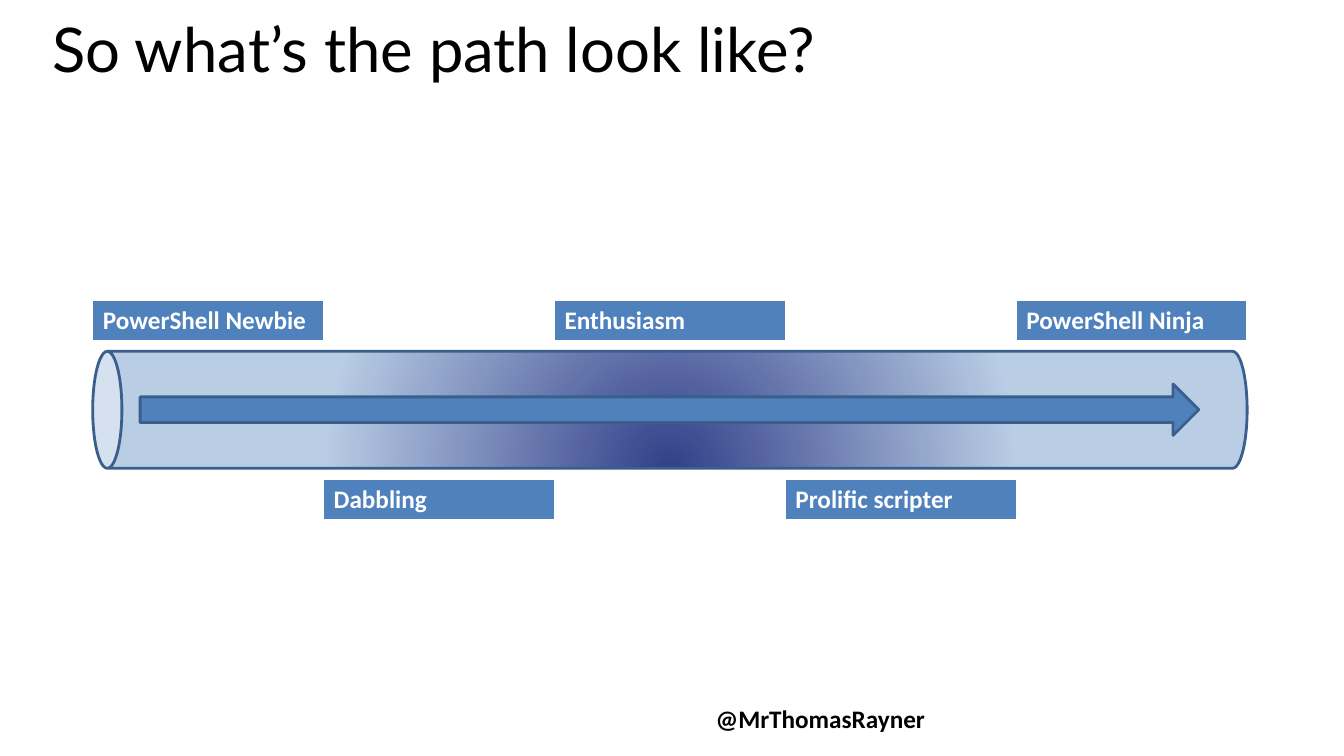
"""Build the slide that shows the path from PowerShell newbie to ninja."""
from dataclasses import dataclass

from lxml.etree import SubElement
from pptx import Presentation
from pptx.dml.color import RGBColor
from pptx.enum.shapes import MSO_SHAPE
from pptx.oxml import parse_xml
from pptx.oxml.ns import nsdecls, qn
from pptx.shapes.autoshape import Shape
from pptx.slide import Slide
from pptx.util import Inches, Pt

WIDTH, HEIGHT = Inches(13.33), Inches(7.5)
COLOURS = {
    "ink": "000000",
    "white": "FFFFFF",
    "label": "4F81BD",
    "outline": "3A5F8C",
    "deep": "34428A",
    "pale": "B9CDE5",
}
TITLE_FORMAT = {"name": "Lato", "size": Pt(44), "bold": False}
BODY_FORMAT = {"name": "Calibri", "size": Pt(18), "bold": True}
TUBE_STOPS = ((1, "deep"), (60, "pale"), (83, "pale"))
BORDERS = {"lnL": 1, "lnR": 1, "lnT": 1, "lnB": 3}


@dataclass(frozen=True)
class Area:
    """A rectangle in percent of the slide's width and height."""

    left: float
    top: float
    width: float
    height: float

    def lengths(self) -> tuple[int, int, int, int]:
        """Return left, top, width and height as slide lengths."""
        return (
            int(WIDTH * self.left / 100),
            int(HEIGHT * self.top / 100),
            int(WIDTH * self.width / 100),
            int(HEIGHT * self.height / 100),
        )


@dataclass(frozen=True)
class Caption:
    """A line of free text."""

    text: str
    area: Area
    style: dict
    line_spacing: float = 1.0


@dataclass(frozen=True)
class StageRow:
    """A one-row table of stage labels, with gaps where a label is empty."""

    area: Area
    labels: tuple[str, ...]


CAPTIONS = (
    Caption("So what’s the path look like?", Area(3.15, 2.67, 94.52, 15.47), TITLE_FORMAT, 0.8),
    Caption("@MrThomasRayner", Area(52.51, 92.4, 19.5, 5.33), BODY_FORMAT),
)
STAGE_ROWS = (
    StageRow(Area(6.9, 39.73, 85.9, 5.47),
             ("PowerShell Newbie", "", "Enthusiasm", "", "PowerShell Ninja")),
    StageRow(Area(6.9, 63.47, 85.9, 5.47),
             ("", "Dabbling", "", "Prolific scripter", "")),
)
TUBE = Area(6.9, 46.47, 85.9, 15.47)
ARROW = Area(10.43, 50.8, 78.77, 6.8)


def write(frame, text: str, style: dict, colour: str):
    """Write formatted text into a frame and return its paragraph."""
    para = frame.paragraphs[0]
    span = para.add_run()
    span.text = text
    for key, value in style.items():
        setattr(span.font, key, value)
    span.font.color.rgb = RGBColor.from_string(COLOURS[colour])
    return para


def add_caption(page: Slide, caption: Caption) -> None:
    """Add a wrapped text box."""
    box = page.shapes.add_textbox(*caption.area.lengths())
    box.text_frame.word_wrap = True
    para = write(box.text_frame, caption.text, caption.style, "ink")
    para.line_spacing = caption.line_spacing


def add_borders(cell) -> None:
    """Give a cell its white borders."""
    properties = cell._tc.get_or_add_tcPr()
    for position, (side, points) in enumerate(BORDERS.items()):
        border = parse_xml(
            f'<a:{side} {nsdecls("a")} w="{Pt(points)}"><a:solidFill>'
            f'<a:srgbClr val="{COLOURS["white"]}"/></a:solidFill></a:{side}>'
        )
        properties.insert(position, border)


def add_stage_row(page: Slide, row: StageRow) -> None:
    """Add a table whose named cells are filled."""
    table = page.shapes.add_table(1, len(row.labels), *row.area.lengths()).table
    table.horz_banding = False
    for cell, label in zip(table.rows[0].cells, row.labels):
        if label:
            cell.fill.solid()
            cell.fill.fore_color.rgb = RGBColor.from_string(COLOURS["label"])
            write(cell.text_frame, label, BODY_FORMAT, "white")
        else:
            cell.fill.background()
        add_borders(cell)


def add_outlined(page: Slide, kind: MSO_SHAPE, area: Area) -> Shape:
    """Add a filled shape with an outline and no shadow."""
    shape = page.shapes.add_shape(kind, *area.lengths())
    shape.shadow.inherit = False
    shape.fill.solid()
    shape.fill.fore_color.rgb = RGBColor.from_string(COLOURS["label"])
    shape.line.color.rgb = RGBColor.from_string(COLOURS["outline"])
    shape.line.width = Pt(2)
    return shape


def add_tube(page: Slide) -> None:
    """Add the can lying on its side, with a radial gradient."""
    tube = add_outlined(page, MSO_SHAPE.CAN, TUBE)
    left, top, width, height = TUBE.lengths()
    shift = (width - height) // 2
    placement = {"left": left + shift, "top": top - shift,
                 "width": height, "height": width, "rotation": 270}
    for key, value in placement.items():
        setattr(tube, key, value)
    gradient = parse_xml(
        f'<a:gradFill {nsdecls("a")} rotWithShape="0"><a:gsLst/><a:path path="circle">'
        '<a:fillToRect l="50000" t="130000" r="50000" b="-30000"/></a:path></a:gradFill>'
    )
    for percent, colour in TUBE_STOPS:
        stop = SubElement(gradient[0], qn("a:gs"), pos=str(percent * 1000))
        SubElement(stop, qn("a:srgbClr"), val=COLOURS[colour])
    properties = tube._element.spPr
    properties.replace(properties.find(qn("a:solidFill")), gradient)


def main() -> None:
    """Build and save the deck."""
    deck = Presentation()
    deck.slide_width, deck.slide_height = WIDTH, HEIGHT
    page = deck.slides.add_slide(deck.slide_layouts[6])
    for caption in CAPTIONS:
        add_caption(page, caption)
    for row in STAGE_ROWS:
        add_stage_row(page, row)
    add_tube(page)
    add_outlined(page, MSO_SHAPE.RIGHT_ARROW, ARROW)
    deck.save("out.pptx")


if __name__ == "__main__":
    main()
